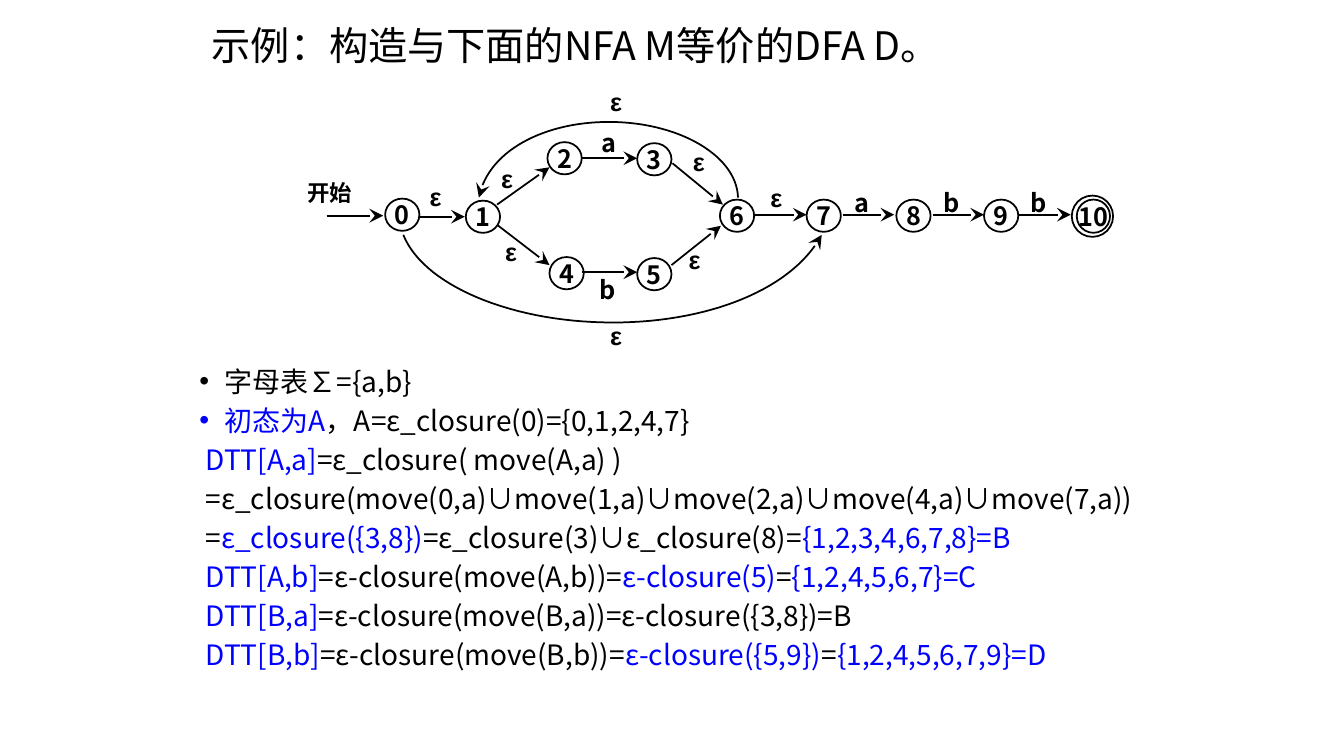
from dataclasses import dataclass
from typing import NamedTuple

from lxml import etree
from pptx import Presentation
from pptx.dml.color import RGBColor
from pptx.enum import shapes, text
from pptx.oxml import ns
from pptx.util import Inches, Pt


@dataclass(frozen=True)
class Theme:
    ink: RGBColor = RGBColor(0, 0, 0)
    accent: RGBColor = RGBColor(0, 0, 255)
    paper: RGBColor = RGBColor(255, 255, 255)
    font: str = "Noto Sans CJK SC"
    symbol_font: str = "Arial"
    title: int = 28
    body: int = 20
    label: int = 18
    start: int = 16
    line: float = 1.25


class Point(NamedTuple):
    x: float
    y: float


class State(NamedTuple):
    name: str
    left: float
    top: float
    width: float = 0.34
    height: float = 0.32
    filled: bool = True


class Arrow(NamedTuple):
    start: Point
    end: Point


class Label(NamedTuple):
    text: str
    centre: float
    top: float


class Span(NamedTuple):
    text: str
    accent: bool = False


class Line(NamedTuple):
    spans: list[Span]
    bullet: bool = False


THEME = Theme()
TITLE = "示例：构造与下面的NFA M等价的DFA D。"

STATES = [
    State("0", 3.82, 1.97), State("1", 4.62, 1.99),
    State("2", 5.43, 1.41), State("3", 6.32, 1.42),
    State("4", 5.45, 2.55), State("5", 6.32, 2.56),
    State("6", 7.14, 1.98), State("7", 8.00, 1.98),
    State("8", 8.89, 1.98), State("9", 9.76, 1.98),
    State("", 10.63, 1.94, 0.41, 0.41),
    State("10", 10.68, 1.98, 0.33, 0.33, False),
]

ARROWS = [
    Arrow(Point(3.24, 2.14), Point(3.80, 2.14)),
    Arrow(Point(4.16, 2.15), Point(4.61, 2.15)),
    Arrow(Point(4.93, 2.03), Point(5.45, 1.66)),
    Arrow(Point(4.93, 2.23), Point(5.45, 2.63)),
    Arrow(Point(5.77, 1.57), Point(6.32, 1.57)),
    Arrow(Point(5.77, 2.70), Point(6.32, 2.70)),
    Arrow(Point(6.67, 1.62), Point(7.17, 2.03)),
    Arrow(Point(6.66, 2.63), Point(7.15, 2.24)),
    Arrow(Point(7.49, 2.13), Point(8.00, 2.13)),
    Arrow(Point(8.36, 2.13), Point(8.87, 2.13)),
    Arrow(Point(9.25, 2.13), Point(9.76, 2.13)),
    Arrow(Point(10.11, 2.13), Point(10.62, 2.13)),
]

# Each arc is two cubic curves that share their middle point.
ARCS = [
    [Point(7.32, 1.96), Point(7.31, 1.55), Point(6.74, 1.21), Point(6.04, 1.21),
     Point(5.39, 1.21), Point(4.84, 1.50), Point(4.75, 1.96)],
    [Point(4.00, 2.33), Point(4.20, 2.83), Point(5.07, 3.20), Point(6.08, 3.20),
     Point(7.03, 3.20), Point(7.86, 2.87), Point(8.15, 2.33)],
]

LABELS = [
    Label("开始", 3.27, 1.78),
    Label("ε", 4.32, 1.80), Label("ε", 5.03, 1.62), Label("ε", 5.07, 2.34),
    Label("a", 6.04, 1.26), Label("b", 6.02, 2.72),
    Label("ε", 6.93, 1.45), Label("ε", 6.89, 2.42),
    Label("ε", 6.11, 0.86), Label("ε", 6.11, 3.18), Label("ε", 7.70, 1.81),
    Label("a", 8.55, 1.86), Label("b", 9.43, 1.86), Label("b", 10.30, 1.86),
]

LINES = [
    Line([Span("字母表∑={a,b}")], bullet=True),
    Line([Span("初态为A", True), Span("，A=ε_closure(0)={0,1,2,4,7}")], bullet=True),
    Line([Span("DTT[A,a]", True), Span("=ε_closure( move(A,a) )")]),
    Line([Span("=ε_closure(move(0,a)∪move(1,a)∪move(2,a)∪move(4,a)∪move(7,a))")]),
    Line([Span("="), Span("ε_closure({3,8})", True), Span("=ε_closure(3)∪ε_closure(8)="),
          Span("{1,2,3,4,6,7,8}=B", True)]),
    Line([Span("DTT[A,b]", True), Span("=ε-closure(move(A,b))="), Span("ε-closure(5)", True),
          Span("="), Span("{1,2,4,5,6,7}=C", True)]),
    Line([Span("DTT[B,a]", True), Span("=ε-closure(move(B,a))=ε-closure({3,8})=B")]),
    Line([Span("DTT[B,b]", True), Span("=ε-closure(move(B,b))="), Span("ε-closure({5,9})", True),
          Span("="), Span("{1,2,4,5,6,7,9}=D", True)]),
]


def add_span(para, content: str, size: float, color: RGBColor = THEME.ink,
             bold: bool = False, font: str = THEME.font) -> None:
    span = para.add_run()
    span.text = content
    span.font.size, span.font.bold, span.font.name = Pt(size), bold, font
    span.font.color.rgb = color
    east_asian = etree.SubElement(span.font._element, ns.qn("a:ea"))
    east_asian.set("typeface", THEME.font)


def add_centred_word(frame, content: str, size: float, font: str = THEME.font) -> None:
    """Write one bold word in a frame without margins or wrapping."""
    frame.margin_left = frame.margin_right = frame.margin_top = frame.margin_bottom = 0
    frame.word_wrap = False
    para = frame.paragraphs[0]
    para.alignment = text.PP_ALIGN.CENTER
    add_span(para, content, size, bold=True, font=font)


def style_line(shape, arrow: bool = False) -> None:
    shape.line.color.rgb = THEME.ink
    shape.line.width = Pt(THEME.line)
    if arrow:
        outline = shape.element.spPr.find(ns.qn("a:ln"))
        etree.SubElement(outline, ns.qn("a:tailEnd"), type="stealth", w="lg", len="lg")


def draw_state(page, state: State) -> None:
    circle = page.shapes.add_shape(
        shapes.MSO_SHAPE.OVAL, Inches(state.left), Inches(state.top),
        Inches(state.width), Inches(state.height))
    circle.shadow.inherit = False
    if state.filled:
        circle.fill.solid()
        circle.fill.fore_color.rgb = THEME.paper
    else:
        circle.fill.background()
    style_line(circle)
    if state.name:
        circle.text_frame.vertical_anchor = text.MSO_ANCHOR.MIDDLE
        add_centred_word(circle.text_frame, state.name, THEME.label)


def draw_arrow(page, arrow: Arrow) -> None:
    connector = page.shapes.add_connector(
        shapes.MSO_CONNECTOR.STRAIGHT, *map(Inches, (*arrow.start, *arrow.end)))
    style_line(connector, arrow=True)
    etree.SubElement(connector.element.spPr, ns.qn("a:effectLst"))


def curve_points(controls: list[Point], steps: int = 30) -> list[tuple[int, int]]:
    """Sample one cubic curve, leaving out its first point."""
    def blend(values: tuple[float, ...], t: float) -> int:
        a, b, c, d = values
        s = 1 - t
        return Inches(a * s**3 + 3 * b * s * s * t + 3 * c * s * t * t + d * t**3)

    xs, ys = zip(*controls)
    return [(blend(xs, i / steps), blend(ys, i / steps)) for i in range(1, steps + 1)]


def draw_arc(page, controls: list[Point]) -> None:
    builder = page.shapes.build_freeform(*map(Inches, controls[0]))
    builder.add_line_segments(curve_points(controls[:4]) + curve_points(controls[3:]), close=False)
    arc = builder.convert_to_shape()
    arc.shadow.inherit = False
    arc.fill.background()
    style_line(arc, arrow=True)


def draw_label(page, label: Label) -> None:
    width = 0.45 if label.text == "开始" else 0.15
    size = THEME.start if label.text == "开始" else THEME.label
    font = THEME.symbol_font if label.text == "ε" else THEME.font
    box = page.shapes.add_textbox(
        Inches(label.centre - width / 2), Inches(label.top), Inches(width), Inches(0.3))
    add_centred_word(box.text_frame, label.text, size, font)


def draw_title(page) -> None:
    title = page.shapes.title
    title.left, title.top, title.width, title.height = map(Inches, (2, 0.17, 9.42, 0.61))
    title.text_frame.vertical_anchor = text.MSO_ANCHOR.MIDDLE
    para = title.text_frame.paragraphs[0]
    para.alignment, para.line_spacing = text.PP_ALIGN.LEFT, 0.9
    add_span(para, TITLE, THEME.title)


def draw_derivation(page) -> None:
    box = page.shapes.add_textbox(*map(Inches, (1.88, 3.65, 9.5, 3.49)))
    frame = box.text_frame
    frame.word_wrap = True
    for index, line in enumerate(LINES):
        para = frame.add_paragraph() if index else frame.paragraphs[0]
        para.line_spacing = 0.74
        para.space_before = Pt(10 if index else 0)
        properties = para._p.get_or_add_pPr()
        properties.set("marL", str(Inches(0.25)))
        properties.set("indent", str(Inches(-0.25 if line.bullet else -0.19)))
        if line.bullet:
            etree.SubElement(properties, ns.qn("a:buFont"), typeface=THEME.symbol_font)
            etree.SubElement(properties, ns.qn("a:buChar"), char="•")
        for span in line.spans:
            add_span(para, span.text, THEME.body, THEME.accent if span.accent else THEME.ink)


def main() -> None:
    deck = Presentation()
    deck.slide_width, deck.slide_height = Inches(13.33), Inches(7.5)
    page = deck.slides.add_slide(deck.slide_layouts.get_by_name("Title Only"))
    draw_title(page)
    draw_derivation(page)
    for draw, items in ((draw_state, STATES), (draw_arrow, ARROWS),
                        (draw_arc, ARCS), (draw_label, LABELS)):
        for item in items:
            draw(page, item)
    deck.save("out.pptx")


if __name__ == "__main__":
    main()
